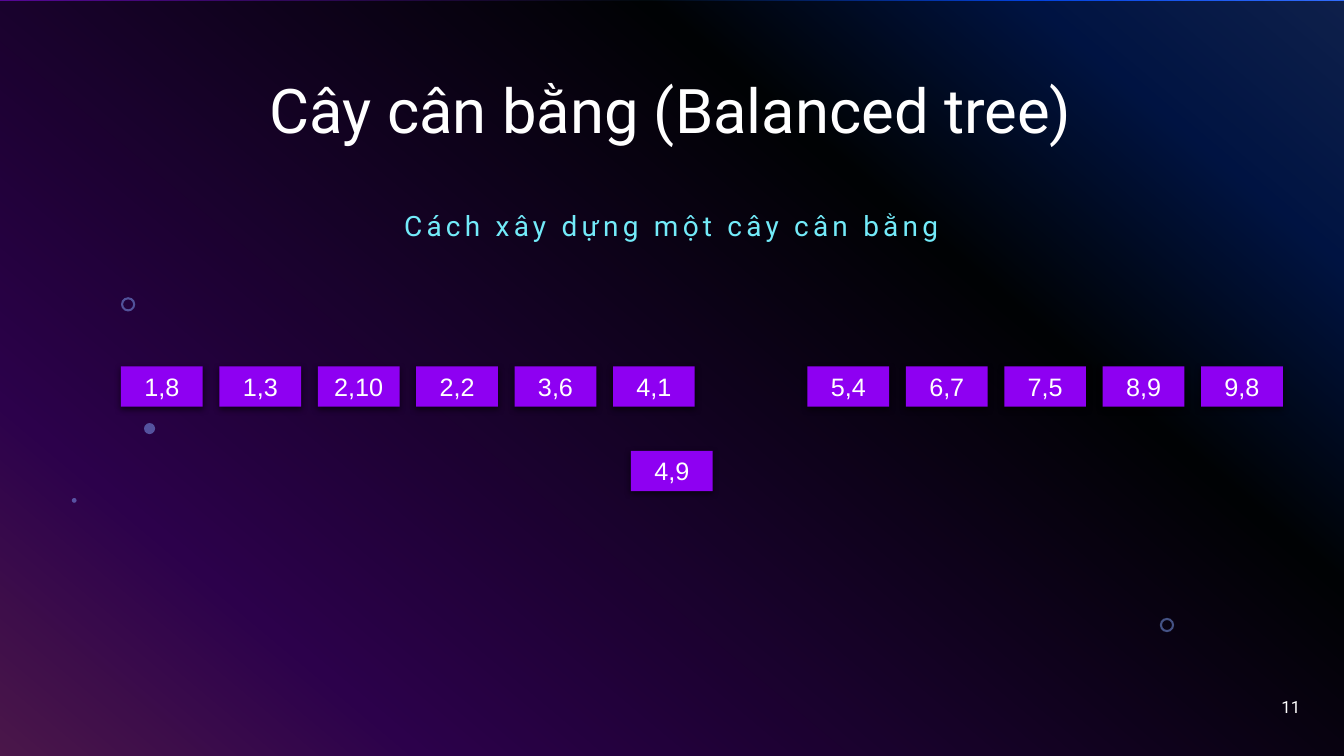
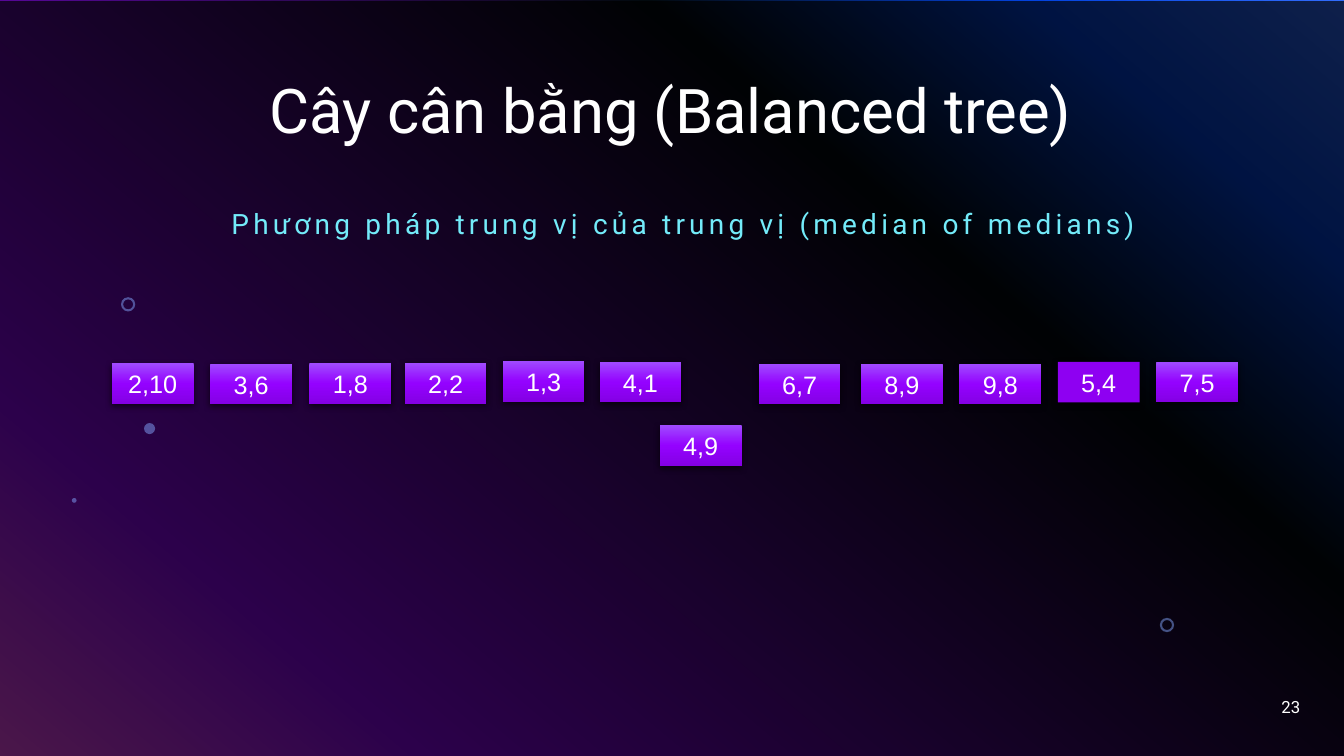
from lxml import etree
from pptx import Presentation
from pptx import util as u
from pptx.dml.color import RGBColor
from pptx.enum import shapes, text
from pptx.oxml.ns import qn

COLORS = {
    "white": "FFFFFF", "cyan": "73EBF9", "violet": "8E00F2",
    "black": "000000", "star": "83A7FD",
}
BACKDROP = [(0, "316CFC"), (14, "0343DF"), (31, "02090E"), (81, "9405FC"), (100, "FC4EFB")]
GLOSS = [(0, "A04BFF"), (50, "9402FF"), (100, "8400E4")]

CENTER, RIGHT = text.PP_ALIGN.CENTER, text.PP_ALIGN.RIGHT
TOP, MIDDLE = text.MSO_ANCHOR.TOP, text.MSO_ANCHOR.MIDDLE
STYLES = {
    "title": dict(font=dict(name="Roboto", size=u.Pt(44)), color="white", anchor=MIDDLE,
                  paragraph=dict(alignment=CENTER, line_spacing=0.9)),
    "subtitle": dict(font=dict(name="Roboto", size=u.Pt(20)), color="cyan", anchor=MIDDLE,
                     paragraph=dict(alignment=CENTER, line_spacing=0.9), tracking=3),
    "number": dict(font=dict(name="Roboto", size=u.Pt(12)), color="white", anchor=MIDDLE,
                   paragraph=dict(alignment=RIGHT)),
    "card": dict(font=dict(name="Arial", size=u.Pt(18)), color="white", anchor=TOP,
                 paragraph=dict(alignment=CENTER)),
}

RECT, RING, DOT = (shapes.MSO_SHAPE.RECTANGLE, shapes.MSO_SHAPE.DONUT, shapes.MSO_SHAPE.OVAL)
# Preset, left, top, width, height in cm, colour, opacity in percent
SCENERY = [
    (RECT, 0, 0.03, 33.87, 19.02, "black", 70),
    (RING, 29.23, 15.57, 0.36, 0.36, "star", 49),
    (RING, 3.05, 7.49, 0.36, 0.36, "star", 49),
    (DOT, 3.63, 10.66, 0.28, 0.28, "star", 49),
    (DOT, 1.81, 12.55, 0.12, 0.12, "star", 49),
]

CARD_WIDTH, CARD_HEIGHT, CARD_STEP = 2.06, 1.02, 2.48
LOWER = ["1,8", "1,3", "2,10", "2,2", "3,6", "4,1"]
UPPER = ["5,4", "6,7", "7,5", "8,9", "9,8"]
# Cards are label, left, top in cm
sorted_cards = [
    (label, start + i * CARD_STEP, 9.23)
    for start, labels in [(3.05, LOWER), (20.35, UPPER)]
    for i, label in enumerate(labels)
] + [("4,9", 15.9, 11.36)]
partitioned_cards = [
    ("2,10", 2.82, 9.16), ("3,6", 5.3, 9.17), ("1,8", 7.8, 9.16),
    ("2,2", 10.2, 9.15), ("1,3", 12.67, 9.1), ("4,1", 15.11, 9.12),
    ("4,9", 16.63, 10.72),
    ("6,7", 19.12, 9.17), ("8,9", 21.7, 9.17), ("9,8", 24.18, 9.17),
    ("5,4", 26.66, 9.12), ("7,5", 29.14, 9.12),
]
SLIDES = [
    dict(number="11", subtitle="Cách xây dựng một cây cân bằng",
         subtitle_at=(4.42, 5.03, 25, 1.42), cards=sorted_cards, plain=LOWER + UPPER + ["4,9"]),
    dict(number="23", subtitle="Phương pháp trung vị của trung vị (median of medians)",
         subtitle_at=(4.37, 4.98, 25.7, 1.42), cards=partitioned_cards, plain=["5,4"]),
]


def fill_gradient(fill, element, stops, clockwise):
    """Give the fill inside element the (percent, hex) stops at a clockwise angle."""
    fill.gradient()
    fill.gradient_angle = 360 - clockwise
    stop_list = element.find(".//" + qn("a:gsLst"))
    for old in list(stop_list):
        stop_list.remove(old)
    for percent, color in stops:
        stop = etree.SubElement(stop_list, qn("a:gs"), pos=str(percent * 1000))
        etree.SubElement(stop, qn("a:srgbClr"), val=color)


def write(frame, words, style_name):
    style = STYLES[style_name]
    frame.word_wrap = True
    frame.vertical_anchor = style["anchor"]
    paragraph = frame.paragraphs[0]
    for key, value in style["paragraph"].items():
        setattr(paragraph, key, value)
    run = paragraph.add_run()
    run.text = words
    for key, value in style["font"].items():
        setattr(run.font, key, value)
    run.font.color.rgb = RGBColor.from_string(COLORS[style["color"]])
    if "tracking" in style:
        run.font._element.set("spc", str(style["tracking"] * 100))


prs = Presentation()
prs.slide_width, prs.slide_height = u.Cm(33.87), u.Cm(19.05)
master = prs.slide_master
fill_gradient(master.background.fill, master.element, BACKDROP, 130)

for page in SLIDES:
    slide = prs.slides.add_slide(prs.slide_layouts[6])

    for preset, left, top, width, height, color, opacity in SCENERY:
        scenery = slide.shapes.add_shape(preset, u.Cm(left), u.Cm(top), u.Cm(width), u.Cm(height))
        scenery.shadow.inherit = False
        scenery.line.fill.background()
        scenery.fill.solid()
        scenery.fill.fore_color.rgb = RGBColor.from_string(COLORS[color])
        tint = scenery.element.spPr.find(".//" + qn("a:srgbClr"))
        etree.SubElement(tint, qn("a:alpha"), val=str(opacity * 1000))
        if preset == RING:
            scenery.adjustments[0] = 0.15

    for words, style_name, place in [
        ("Cây cân bằng (Balanced tree)", "title", (2.31, 1.02, 29.21, 3.68)),
        (page["subtitle"], "subtitle", page["subtitle_at"]),
        (page["number"], "number", (25.4, 17.3, 7.62, 1.02)),
    ]:
        box = slide.shapes.add_textbox(*[u.Cm(length) for length in place])
        write(box.text_frame, words, style_name)

    for label, left, top in page["cards"]:
        card = slide.shapes.add_shape(
            RECT, u.Cm(left), u.Cm(top), u.Cm(CARD_WIDTH), u.Cm(CARD_HEIGHT))
        card.line.fill.background()
        if label in page["plain"]:
            card.fill.solid()
            card.fill.fore_color.rgb = RGBColor.from_string(COLORS["violet"])
        else:
            fill_gradient(card.fill, card.element, GLOSS, 90)
        card.shadow.inherit = False
        shadow = etree.SubElement(
            card.element.spPr.find(qn("a:effectLst")), qn("a:outerShdw"),
            blurRad=str(u.Pt(4.5)), dist=str(u.Pt(1.5)), dir="5400000", rotWithShape="0")
        shade = etree.SubElement(shadow, qn("a:srgbClr"), val=COLORS["black"])
        etree.SubElement(shade, qn("a:alpha"), val="63000")
        write(card.text_frame, label, "card")

prs.save("out.pptx")
